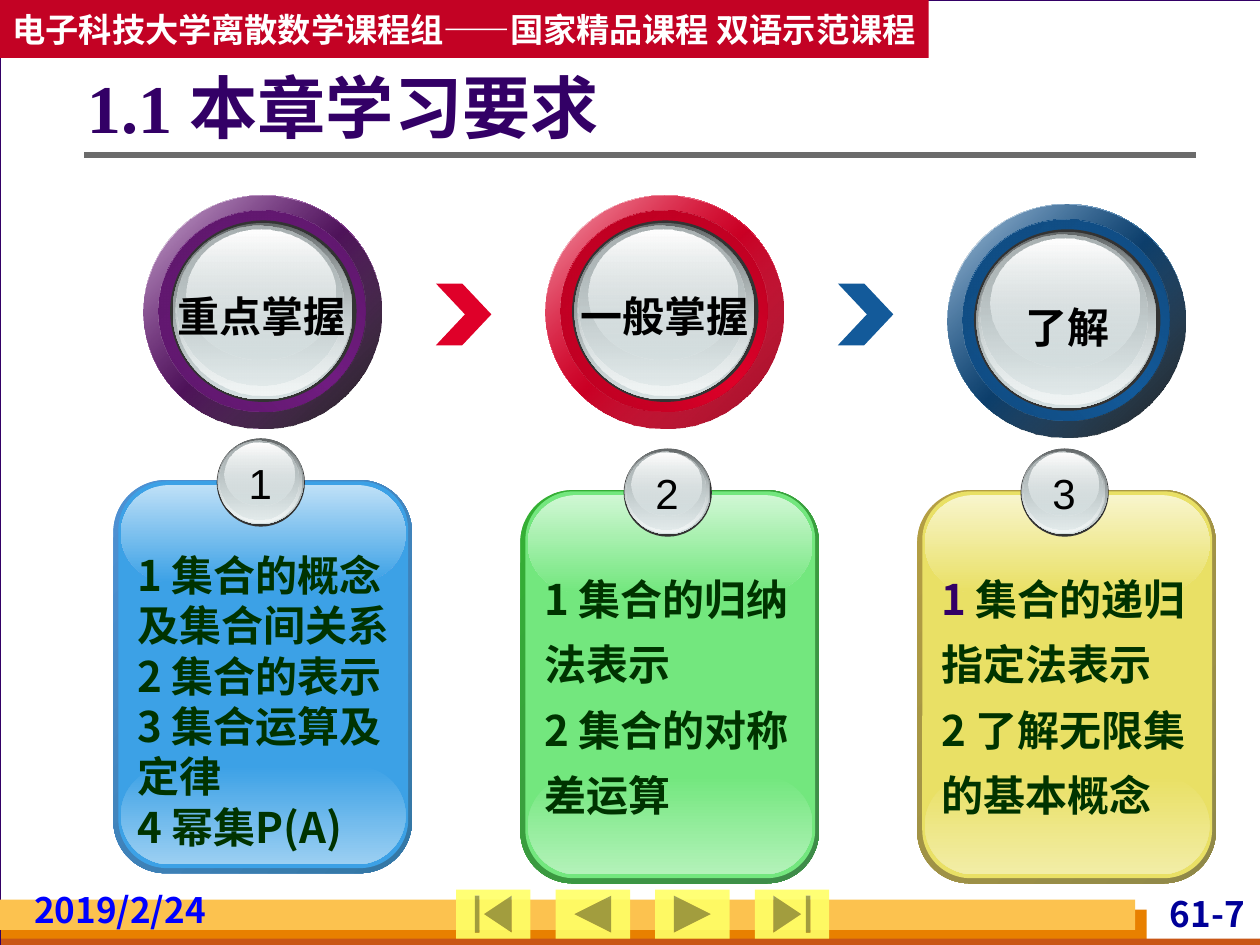
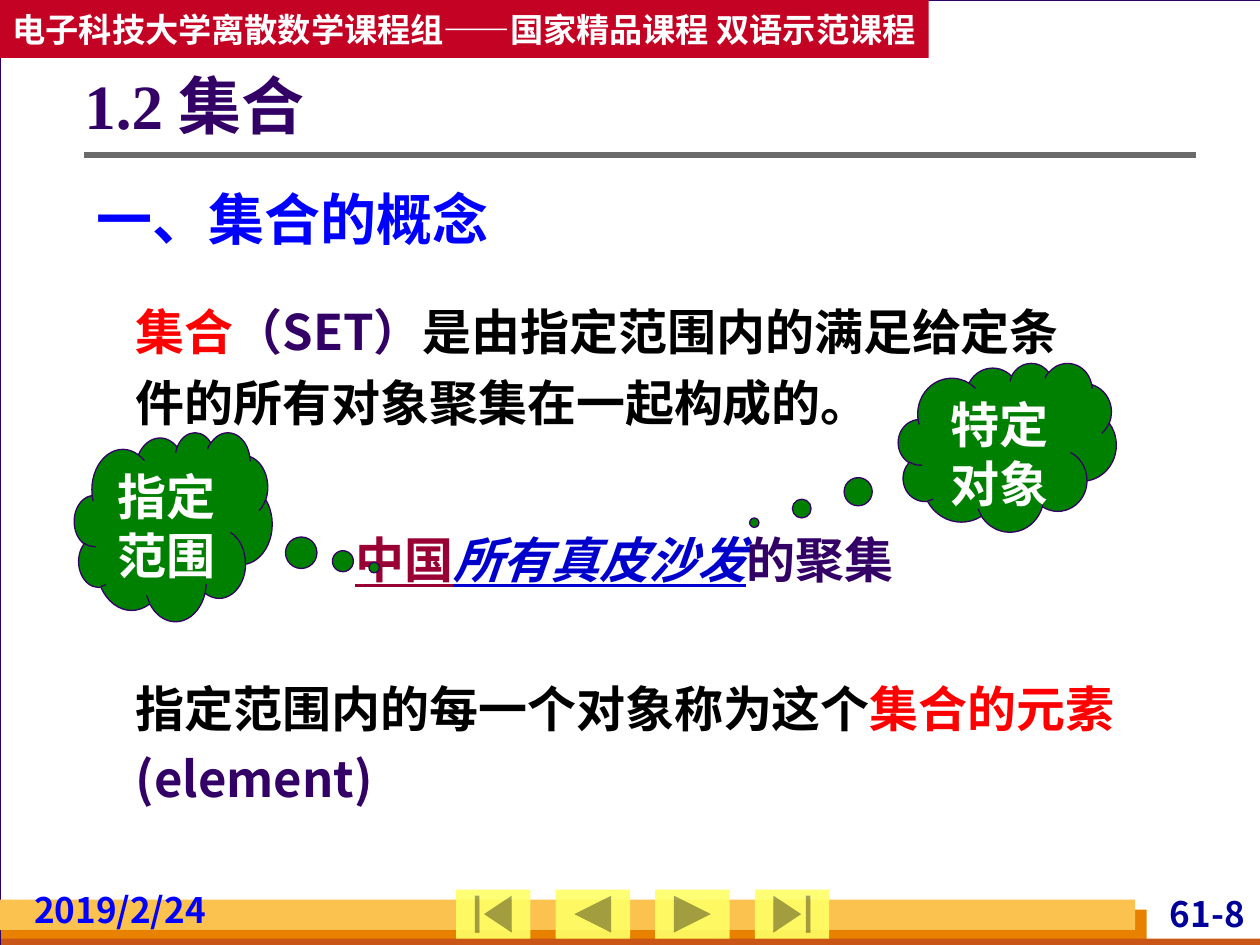
from dataclasses import dataclass
from typing import Optional

from lxml import etree
from pptx import Presentation
from pptx import util as u
from pptx.dml.color import RGBColor
from pptx.enum import shapes, text
from pptx.oxml.ns import qn

SHAPE = shapes.MSO_SHAPE
ALIGN = text.PP_ALIGN
ANCHOR = text.MSO_ANCHOR
CJK = "Noto Sans CJK SC"
INDIGO, GREEN, BLUE, RED, BLACK, WHITE = "330066", "003300", "0000FF", "FF0000", "000000", "FFFFFF"
SILVER = "D6E1E2"


@dataclass
class Run:
    text: str
    size: float = 24
    color: str = BLACK
    font: str = CJK
    bold: bool = True
    italic: bool = False
    underline: bool = False


@dataclass
class Gradient:
    stops: list
    angle: int = 90


@dataclass
class Ring:
    x: float
    y: float
    label: str
    label_box: tuple
    color: str
    shade: str
    soft: str
    rim: tuple


@dataclass
class Card:
    x: float
    y: float
    number: str
    edge: tuple
    color: str
    top: str
    bottom: str
    lines: list
    text_dy: float
    spacing: Optional[float] = None


@dataclass
class Cloud:
    box: tuple
    tail: tuple
    label: str


GLASS = [
    "333333",
    Gradient([(0, "636869"), (100, SILVER)]),
    Gradient([(0, SILVER, 0), (100, "F1F5F5")]),
    Gradient([(0, "AAB2B3"), (100, SILVER, 48)]),
    Gradient([(0, WHITE), (100, SILVER, 38)]),
]
LARGE_GLASS = [(0.21, 0.2, 1.48, 1.44), (0.23, 0.22, 1.43, 1.4), (0.25, 0.23, 1.4, 1.36),
               (0.26, 0.24, 1.33, 1.27), (0.34, 0.27, 1.18, 1.03)]
SMALL_GLASS = [(0, 0, 0.7, 0.7), (0.01, 0, 0.68, 0.68), (0.01, 0.01, 0.66, 0.66),
               (0.02, 0.02, 0.63, 0.62), (0.06, 0.03, 0.56, 0.5)]

RINGS = [
    Ring(1.14, 1.55, "重点掌握", (1.31, 2.26, 1.54, 0.5), "711C81", "571563", "5D176A", (BLACK, 90)),
    Ring(4.33, 1.55, "一般掌握", (4.51, 2.26, 1.56, 0.5), "DF0029", "AB001F", "B70022", ("A0001D", 100)),
    Ring(7.52, 1.62, "了解", (8.04, 2.34, 0.87, 0.5), "135A9A", "0F4576", "104A7E", (BLACK, 90)),
]


def green(line: str) -> list:
    return [Run(line, color=GREEN)]


CARDS = [
    Card(0.9, 3.81, "1", ("4E91D4", "3477A4"), "3CA1E6", "BEE0F7", "9BCFF2",
         [green("1 集合的概念及集合间关系"), green("2 集合的表示"),
          green("3 集合运算及定律"), green("4 幂集P(A)")], 0.5),
    Card(4.13, 3.89, "2", ("34B034", "3F8B4A"), "73E77E", "D0F7D4", "B3F2B9",
         [green("1 集合的归纳法表示"), green("2 集合的对称差运算")], 0.49, 1.3),
    Card(7.28, 3.89, "3", ("B59F43", "8F8849"), "E9E065", "F8F5CC", "F2EDA6",
         [[Run("1 ", color=INDIGO), Run("集合的递归指定法表示", color=GREEN)],
          green("2 了解无限集的基本概念")], 0.49, 1.3),
]

CLOUDS = [
    Cloud((0.59, 3.43, 1.57, 1.5), (1.016, 0.217), "指定范围"),
    Cloud((7.13, 2.88, 1.73, 1.34), (-1.161, 0.447), "特定对象"),
]


def rgb(color: str) -> RGBColor:
    return RGBColor.from_string(color)


def add_alpha(clr, percent: float) -> None:
    etree.SubElement(clr, qn("a:alpha"), val=str(int(percent * 1000)))


def paint(sp, fill, alpha: float = 100) -> None:
    if isinstance(fill, str):
        sp.fill.solid()
        sp.fill.fore_color.rgb = rgb(fill)
        if alpha < 100:
            add_alpha(sp.element.spPr.find(".//" + qn("a:srgbClr")), alpha)
        return
    sp.fill.background()
    spPr = sp.element.spPr
    grad = etree.Element(qn("a:gradFill"), rotWithShape="1")
    stops = etree.SubElement(grad, qn("a:gsLst"))
    for pos, color, *opacity in fill.stops:
        gs = etree.SubElement(stops, qn("a:gs"), pos=str(pos * 1000))
        clr = etree.SubElement(gs, qn("a:srgbClr"), val=color)
        if opacity:
            add_alpha(clr, opacity[0])
    etree.SubElement(grad, qn("a:lin"), ang=str(fill.angle * 60000), scaled="0")
    spPr.replace(spPr.find(qn("a:noFill")), grad)


def add_shape(parent, kind, box: tuple, fill, line: Optional[str] = None,
              alpha: float = 100, adj: tuple = ()):
    sp = parent.add_shape(kind, *map(u.Inches, box))
    sp.shadow.inherit = False
    for i, value in enumerate(adj):
        sp.adjustments[i] = value
    paint(sp, fill, alpha)
    if line:
        sp.line.color.rgb = rgb(line)
        sp.line.width = u.Pt(0.75)
    else:
        sp.line.fill.background()
    return sp


def write(sp, paragraphs: list, align=ALIGN.LEFT, spacing: Optional[float] = None,
          wrap: bool = True, anchor=ANCHOR.TOP, insets: tuple = (0.1, 0.05, 0.1, 0.05)) -> None:
    tf = sp.text_frame
    tf.word_wrap = wrap
    tf.auto_size = text.MSO_AUTO_SIZE.NONE
    tf.vertical_anchor = anchor
    tf.margin_left, tf.margin_top, tf.margin_right, tf.margin_bottom = map(u.Inches, insets)
    for i, runs in enumerate(paragraphs):
        p = tf.add_paragraph() if i else tf.paragraphs[0]
        p.alignment = align
        if spacing:
            p.line_spacing = spacing
        for item in runs:
            r = p.add_run()
            r.text = item.text
            r.font.size = u.Pt(item.size)
            r.font.bold = item.bold
            r.font.italic = item.italic
            r.font.underline = item.underline
            r.font.color.rgb = rgb(item.color)
            r.font.name = item.font
            etree.SubElement(r.font._element, qn("a:ea"), typeface=CJK)


def add_text(parent, box: tuple, paragraphs: list, **options) -> None:
    write(parent.add_textbox(*map(u.Inches, box)), paragraphs, **options)


def add_frame(s, page: str) -> None:
    s.background.fill.solid()
    s.background.fill.fore_color.rgb = rgb("D8DADA")
    add_shape(s.shapes, SHAPE.RECTANGLE, (0, 0, 10.01, 7.5), WHITE, INDIGO)
    for box, color in [((0.01, 7.22, 9.09, 0.28), "E88000"),
                       ((0.01, 7.45, 10, 0.08), "C95616"),
                       ((0, 7.14, 9.01, 0.24), "FCC24F")]:
        add_shape(s.shapes, SHAPE.RECTANGLE, box, color)
    small = (0.04, 0, 0.04, 0)
    add_text(s.shapes, (8.7, 7.08, 1.22, 0.33), [[Run(page, 20, "000099")]],
             align=ALIGN.RIGHT, insets=small)
    rule = s.shapes.add_connector(shapes.MSO_CONNECTOR.STRAIGHT,
                                  *map(u.Inches, (0.67, 1.23, 9.49, 1.23)))
    rule.line.color.rgb = rgb("6B6B6B")
    rule.line.width = u.Pt(3)
    etree.SubElement(rule.element.spPr, qn("a:effectLst"))
    buttons = [SHAPE.ACTION_BUTTON_BEGINNING, SHAPE.ACTION_BUTTON_BACK_OR_PREVIOUS,
               SHAPE.ACTION_BUTTON_FORWARD_OR_NEXT, SHAPE.ACTION_BUTTON_END]
    for i, kind in enumerate(buttons):
        add_shape(s.shapes, kind, (3.62 + i * 0.79, 7.06, 0.59, 0.39), "FFFF66", alpha=90)
    banner = add_shape(s.shapes, SHAPE.RECTANGLE, (0, 0, 7.37, 0.46), "C30224")
    write(banner, [[Run("电子科技大学离散数学课程组——国家精品课程 双语示范课程", 19, WHITE)]],
          align=ALIGN.CENTER, wrap=False, anchor=ANCHOR.MIDDLE, insets=(0.04, 0.05, 0.04, 0.05))
    add_text(s.shapes, (0.23, 7.05, 1.65, 0.33), [[Run("2019/2/24", 20, BLUE)]], insets=small)


def add_slide(prs, page: str, title: str, size: float, box: tuple):
    s = prs.slides.add_slide(prs.slide_layouts[5])
    add_frame(s, page)
    sp = s.shapes.title
    sp.left, sp.top, sp.width, sp.height = map(u.Inches, box)
    write(sp, [[Run(title, size, INDIGO, "Times New Roman")]], spacing=0.9,
          anchor=ANCHOR.MIDDLE, insets=(0, 0.05, 0.1, 0.05))
    sp.element.getparent().append(sp.element)
    return s


def add_layers(parent, kind, x: float, y: float, boxes: list, fills: list) -> None:
    for (dx, dy, w, h), fill in zip(boxes, fills):
        add_shape(parent, kind, (x + dx, y + dy, w, h), fill)


def add_ring(s, ring: Ring) -> None:
    group = s.shapes.add_group_shape().shapes
    full, inner = (0, 0, 1.89, 1.85), (0.12, 0.12, 1.64, 1.6)
    fills = [
        Gradient([(0, WHITE), (50, ring.color), (100, WHITE)], 45),
        Gradient([(0, ring.color, 32), (100, *ring.rim)], 45),
        Gradient([(0, ring.shade), (50, ring.color), (100, ring.shade)], 315),
        Gradient([(0, ring.soft), (100, ring.color, 0)], 45),
    ]
    add_layers(group, SHAPE.OVAL, ring.x, ring.y, [full, full, inner, inner], fills)
    add_layers(group, SHAPE.OVAL, ring.x, ring.y, LARGE_GLASS, GLASS)
    add_text(group, ring.label_box, [[Run(ring.label, font="Arial")]], wrap=False)


def add_card(s, card: Card) -> None:
    group = s.shapes.add_group_shape().shapes
    x, y = card.x, card.y
    panels = [
        ((x, y, 2.37, 3.12), 0.175, Gradient([(0, card.edge[0]), (100, card.edge[1])], 45)),
        ((x + 0.04, y + 0.01, 2.3, 3.07), 0.167, card.color),
        ((x + 0.06, y + 2.27, 2.26, 0.78), 0.5, Gradient([(0, card.color), (100, card.bottom)])),
        ((x + 0.06, y + 0.04, 2.26, 0.77), 0.5, Gradient([(0, card.top), (100, card.color)])),
    ]
    for box, radius, fill in panels:
        add_shape(group, SHAPE.ROUNDED_RECTANGLE, box, fill, adj=(radius,))
    add_layers(group, SHAPE.OVAL, x + 0.82, y - 0.33, SMALL_GLASS, GLASS)
    add_text(group, (x + 0.97, y - 0.23, 0.39, 0.5),
             [[Run(card.number, font="Arial", bold=False)]], align=ALIGN.CENTER, wrap=False)
    add_text(group, (x + 0.09, y + card.text_dy, 2.25, 2.5), card.lines, spacing=card.spacing)


def build_requirements(prs) -> None:
    s = add_slide(prs, "61-7", "1.1 本章学习要求", 39, (0.69, 0.54, 7.78, 0.69))
    for x, ring in zip((3.46, 6.65), RINGS[1:]):
        add_shape(s.shapes, SHAPE.CHEVRON, (x, 2.25, 0.44, 0.49), ring.color, adj=(0.525,))
    for ring in RINGS:
        add_ring(s, ring)
    for card in CARDS:
        add_card(s, card)


def build_sets(prs) -> None:
    s = add_slide(prs, "61-8", "1.2 集合", 36, (0.67, 0.36, 8.82, 1.01))
    passages = [
        ((0.67, 1.31, 8.5, 0.74), [Run("一、集合的概念", 32, BLUE)]),
        ((0.98, 2.25, 7.76, 1.23),
         [Run("集合", 28, RED), Run("（SET）", 28, INDIGO),
          Run("是由指定范围内的满足给定条件的所有对象聚集在一起构成的。", 28)]),
        ((0.98, 5.24, 8.21, 1.22),
         [Run("指定范围内的每一个对象称为这个", 28), Run("集合的元素", 28, RED),
          Run("(element)", 28, INDIGO)]),
        ((2.72, 4.06, 5.75, 0.66),
         [Run("中国", 28, "990033", underline=True),
          Run("所有真皮沙发", 28, "0000CC", italic=True, underline=True),
          Run("的聚集", 28, INDIGO)]),
    ]
    for box, runs in passages:
        add_text(s.shapes, box, [runs], spacing=1.2)
    for cloud in CLOUDS:
        sp = add_shape(s.shapes, SHAPE.CLOUD_CALLOUT, cloud.box, "008000", INDIGO, adj=cloud.tail)
        write(sp, [[Run(cloud.label, 28, WHITE, "Arial")]], align=ALIGN.CENTER)


def main() -> None:
    prs = Presentation()
    prs.slide_width, prs.slide_height = u.Inches(10), u.Inches(7.5)
    build_requirements(prs)
    build_sets(prs)
    prs.save("out.pptx")


if __name__ == "__main__":
    main()
